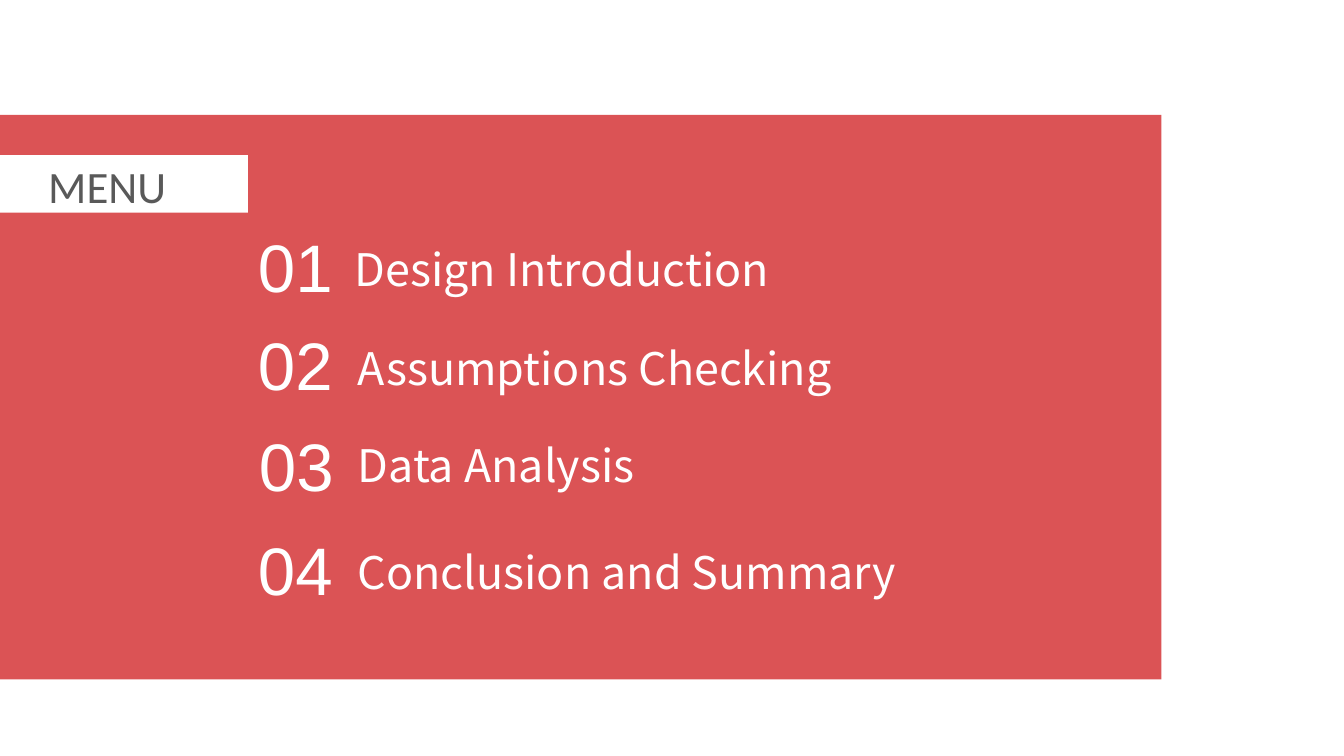
"""Build the menu slide with four numbered agenda entries."""
import dataclasses

import pptx
import pptx.dml.color
import pptx.enum.shapes
import pptx.util

RED = "DB5355"
WHITE = "FFFFFF"
GREY = "595959"


@dataclasses.dataclass(frozen=True)
class Box:
    left: float
    top: float
    width: float
    height: float

    def emu(self) -> list[int]:
        return [pptx.util.Inches(length) for length in dataclasses.astuple(self)]


@dataclasses.dataclass(frozen=True)
class MenuEntry:
    number: str
    number_left: float
    number_top: float
    title: str
    title_left: float
    title_top: float
    title_width: float


ENTRIES = [
    MenuEntry("01", 2.46, 2.19, "Design Introduction", 3.42, 2.35, 6.01),
    MenuEntry("02", 2.46, 3.16, "Assumptions Checking", 3.45, 3.33, 7.01),
    MenuEntry("03", 2.47, 4.16, "Data Analysis", 3.45, 4.29, 7.44),
    MenuEntry("04", 2.46, 5.19, "Conclusion and Summary", 3.45, 5.35, 7.07),
]


def color(value: str) -> pptx.dml.color.RGBColor:
    return pptx.dml.color.RGBColor.from_string(value)


def add_rectangle(slide, box: Box, fill: str) -> None:
    shape = slide.shapes.add_shape(
        pptx.enum.shapes.MSO_SHAPE.RECTANGLE, *box.emu()
    )
    shape.shadow.inherit = False
    shape.fill.solid()
    shape.fill.fore_color.rgb = color(fill)
    shape.line.fill.background()


def add_text(
    slide, box: Box, text: str, font: str, size: int, text_color: str
) -> None:
    text_frame = slide.shapes.add_textbox(*box.emu()).text_frame
    text_frame.word_wrap = True
    paragraph = text_frame.paragraphs[0]
    paragraph.text = text
    paragraph.font.name = font
    paragraph.font.size = pptx.util.Pt(size)
    paragraph.font.color.rgb = color(text_color)


def add_entry(slide, entry: MenuEntry) -> None:
    number_box = Box(entry.number_left, entry.number_top, 1.33, 0.91)
    title_box = Box(entry.title_left, entry.title_top, entry.title_width, 0.64)
    add_text(slide, number_box, entry.number, "Arial", 48, WHITE)
    add_text(slide, title_box, entry.title, "Noto Sans CJK SC", 32, WHITE)


def main() -> None:
    presentation = pptx.Presentation()
    presentation.slide_width = pptx.util.Inches(13.33)
    presentation.slide_height = pptx.util.Inches(7.5)
    slide = presentation.slides.add_slide(presentation.slide_layouts[6])
    add_rectangle(slide, Box(0, 1.14, 11.52, 5.6), RED)
    add_rectangle(slide, Box(0, 1.54, 2.46, 0.57), WHITE)
    add_text(slide, Box(0.38, 1.53, 2.09, 0.64), "MENU", "Calibri", 32, GREY)
    for entry in ENTRIES:
        add_entry(slide, entry)
    presentation.save("out.pptx")


if __name__ == "__main__":
    main()
